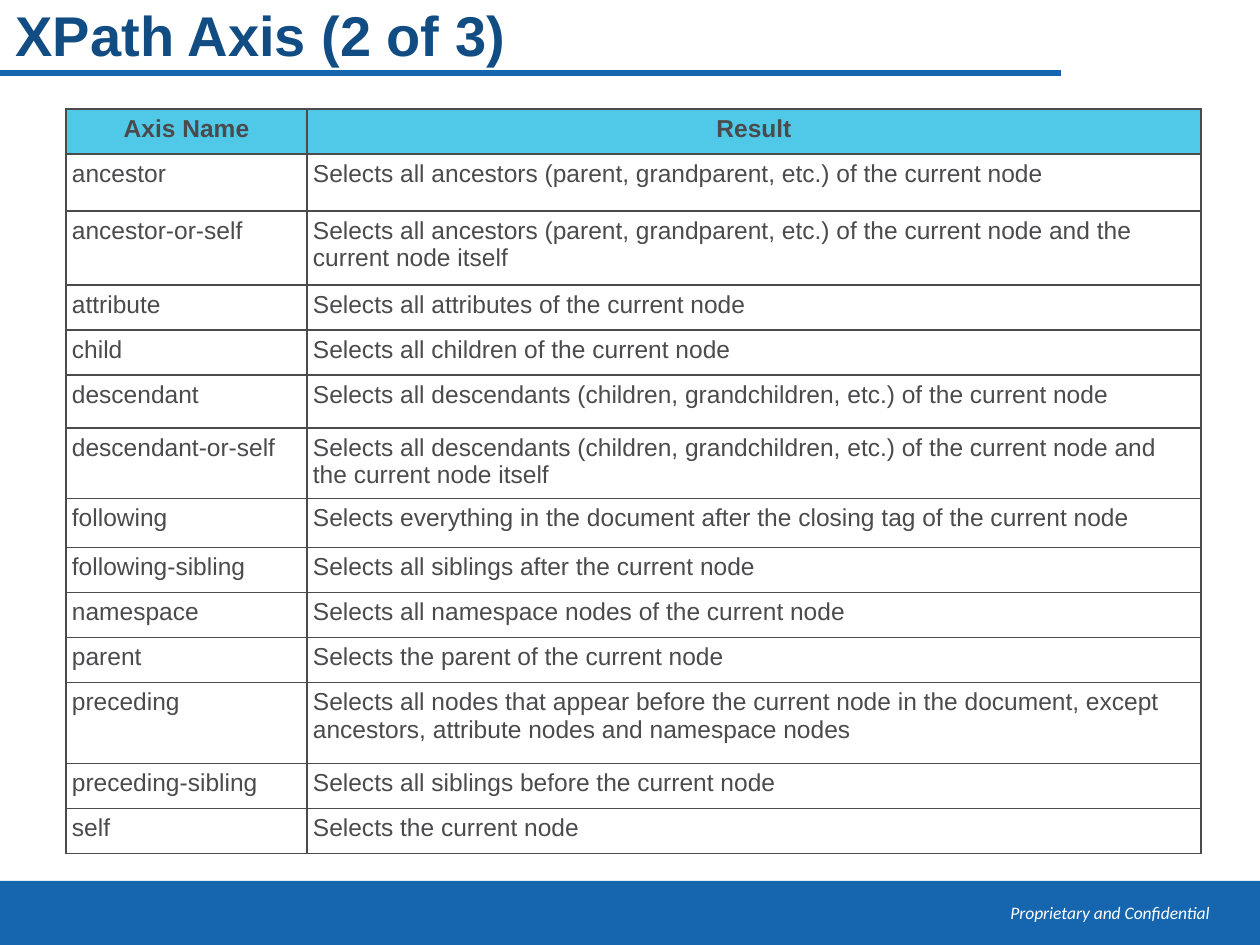
"""Builds the XPath axis reference slide."""
import lxml.etree
import pptx
import pptx.dml.color
import pptx.enum.shapes
import pptx.enum.text
import pptx.oxml.ns
import pptx.util

ALIGN = pptx.enum.text.PP_ALIGN
BLUE, NAVY, CYAN, GREY, WHITE = "1666AF", "114C83", "50C8E8", "4B4A4C", "FFFFFF"
COLUMNS = [241, 894]
ROWS = [
    (45, "Axis Name", "Result"),
    (57, "ancestor", "Selects all ancestors (parent, grandparent, etc.) of the current node"),
    (74, "ancestor-or-self", "Selects all ancestors (parent, grandparent, etc.) of the current node "
                             "and the current node itself"),
    (45, "attribute", "Selects all attributes of the current node"),
    (45, "child", "Selects all children of the current node"),
    (53, "descendant", "Selects all descendants (children, grandchildren, etc.) of the current node"),
    (68, "descendant-or-self", "Selects all descendants (children, grandchildren, etc.) of the current "
                               "node and the current node itself"),
    (49, "following", "Selects everything in the document after the closing tag of the current node"),
    (45, "following-sibling", "Selects all siblings after the current node"),
    (45, "namespace", "Selects all namespace nodes of the current node"),
    (45, "parent", "Selects the parent of the current node"),
    (81, "preceding", "Selects all nodes that appear before the current node in the document, except "
                      "ancestors, attribute nodes and namespace nodes"),
    (45, "preceding-sibling", "Selects all siblings before the current node"),
    (45, "self", "Selects the current node"),
]


def px(length):
    return pptx.util.Emu(round(length * 914400 / 126))


def color(value):
    return pptx.dml.color.RGBColor.from_string(value)


def add_xml(parent, tag, **attributes):
    return lxml.etree.SubElement(parent, pptx.oxml.ns.qn(tag), attributes)


class Page:
    def __init__(self, deck):
        self.slide = deck.slides.add_slide(deck.slide_layouts[5])
        self.shapes = self.slide.shapes
        self.font = "Arial"

    def set_text(self, frame, text, size, ink, bold=False, italic=False, align=ALIGN.LEFT, font=None):
        frame.text = text
        para = frame.paragraphs[0]
        para.alignment = align
        para.font.name = font or self.font
        para.font.size = pptx.util.Pt(size)
        para.font.bold, para.font.italic = bold, italic
        para.font.color.rgb = color(ink)
        return para

    def title(self, text, left, top, width, height):
        box = self.shapes.title
        box.left, box.top, box.width, box.height = map(px, (left, top, width, height))
        box.text_frame.vertical_anchor = pptx.enum.text.MSO_ANCHOR.MIDDLE
        self.set_text(box.text_frame, text, 32, NAVY, bold=True).line_spacing = 0.88

    def bar(self, left, top, width, height, fill):
        shape = self.shapes.add_shape(pptx.enum.shapes.MSO_SHAPE.RECTANGLE,
                                      *map(px, (left, top, width, height)))
        shape.shadow.inherit = False
        shape.fill.solid()
        shape.fill.fore_color.rgb = color(fill)
        shape.line.fill.background()

    def rule(self, left, top, right, ink, weight):
        line = self.shapes.add_connector(pptx.enum.shapes.MSO_CONNECTOR.STRAIGHT,
                                         *map(px, (left, top, right, top)))
        line.line.color.rgb = color(ink)
        line.line.width = pptx.util.Pt(weight)
        add_xml(line._element.spPr, "a:effectLst")

    def footer(self, text, left, top, width, height):
        box = self.shapes.add_textbox(*map(px, (left, top, width, height)))
        box.text_frame.word_wrap = True
        self.set_text(box.text_frame, text, 10, WHITE, italic=True, align=ALIGN.RIGHT, font="Calibri")

    def borders(self, cell, ink, weight):
        properties = cell._tc.get_or_add_tcPr()
        for side in ("a:lnL", "a:lnR", "a:lnT", "a:lnB"):
            line = add_xml(properties, side, w=str(pptx.util.Pt(weight)))
            add_xml(add_xml(line, "a:solidFill"), "a:srgbClr", val=ink)

    def cell(self, cell, text, header):
        cell.margin_left = cell.margin_right = cell.margin_top = cell.margin_bottom = px(6)
        self.borders(cell, GREY, 1)
        if header:
            cell.fill.solid()
            cell.fill.fore_color.rgb = color(CYAN)
        else:
            cell.fill.background()
        self.set_text(cell.text_frame, text, 14, GREY, bold=header,
                      align=ALIGN.CENTER if header else ALIGN.LEFT)

    def table(self, left, top, columns, rows):
        height = sum(row[0] for row in rows)
        table = self.shapes.add_table(len(rows), len(columns),
                                      *map(px, (left, top, sum(columns), height))).table
        table.horz_banding = False
        for column, width in zip(table.columns, columns):
            column.width = px(width)
        for index, (row_height, *texts) in enumerate(rows):
            table.rows[index].height = px(row_height)
            for cell, text in zip(table.rows[index].cells, texts):
                self.cell(cell, text, header=index == 0)


def main():
    deck = pptx.Presentation()
    deck.slide_width, deck.slide_height = px(1260), px(945)
    page = Page(deck)
    page.bar(0, 881, 1260, 64, BLUE)
    page.footer("Proprietary and Confidential", 926, 896, 296, 40)
    page.rule(0, 73, 1061, BLUE, 3)
    page.title("XPath Axis (2 of 3)", 3, 0, 1260, 78)
    page.table(66, 109, COLUMNS, ROWS)
    deck.save("out.pptx")


if __name__ == "__main__":
    main()
